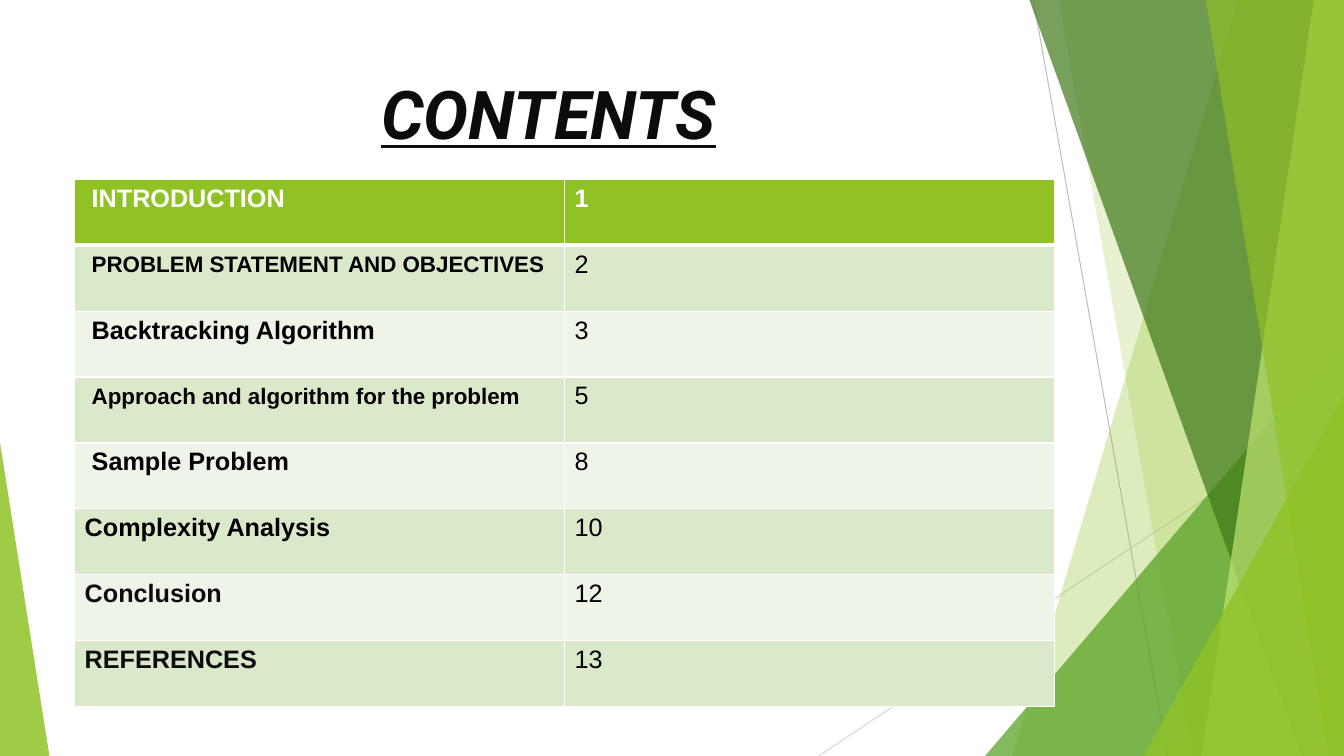
import pptx
import pptx.dml.color
import pptx.enum.shapes
import pptx.enum.text
import pptx.oxml.ns
import pptx.util
from lxml import etree

Inches = pptx.util.Inches
RGBColor = pptx.dml.color.RGBColor
MSO_SHAPE = pptx.enum.shapes.MSO_SHAPE
qn = pptx.oxml.ns.qn

LIME = RGBColor(0x90, 0xC2, 0x26)
GREEN = RGBColor(0x54, 0xA0, 0x21)
DARK_GREEN = RGBColor(0x3F, 0x78, 0x18)
PALE_LIME = RGBColor(0xBF, 0xE4, 0x71)
BAND_DARK = RGBColor(0xDB, 0xE9, 0xCB)
BAND_LIGHT = RGBColor(0xEE, 0xF4, 0xE7)
GREY = RGBColor(0xBF, 0xBF, 0xBF)
LIGHT_GREY = RGBColor(0xD8, 0xD8, 0xD8)
WHITE = RGBColor(0xFF, 0xFF, 0xFF)
BLACK = RGBColor(0x00, 0x00, 0x00)
INK = RGBColor(0x0C, 0x0C, 0x0C)

SLIDE_W, SLIDE_H = 13.33, 7.5

# Topic, page, topic size, topic colour, left inset
CONTENTS = [
    ("INTRODUCTION", "1", 18, WHITE, 0.17),
    ("PROBLEM STATEMENT AND OBJECTIVES", "2", 16, BLACK, 0.17),
    ("Backtracking Algorithm", "3", 18, BLACK, 0.17),
    ("Approach and algorithm for the problem", "5", 16, BLACK, 0.17),
    ("Sample Problem", "8", 18, BLACK, 0.17),
    ("Complexity Analysis", "10", 18, BLACK, 0.1),
    ("Conclusion", "12", 18, INK, 0.1),
    ("REFERENCES", "13", 18, INK, 0.1),
]


def write_text(frame, text, size=18, font="Arial", color=BLACK, bold=False,
               italic=False, underline=False, align=pptx.enum.text.PP_ALIGN.LEFT):
    paragraph = frame.paragraphs[0]
    paragraph.alignment = align
    run = paragraph.add_run()
    run.text = text
    run.font.size = pptx.util.Pt(size)
    run.font.name = font
    run.font.color.rgb = color
    run.font.bold = bold
    run.font.italic = italic
    run.font.underline = underline


def tint(facet, color, opacity):
    facet.shadow.inherit = False
    facet.line.fill.background()
    facet.fill.solid()
    facet.fill.fore_color.rgb = color
    srgb = facet._element.spPr.find(qn("a:solidFill")).find(qn("a:srgbClr"))
    etree.SubElement(srgb, qn("a:alpha")).set("val", str(opacity * 1000))


def add_ray(slide, start, end, color):
    ray = slide.shapes.add_connector(
        pptx.enum.shapes.MSO_CONNECTOR.STRAIGHT, *map(Inches, start + end))
    ray.line.color.rgb = color
    ray.line.width = pptx.util.Pt(0.75)
    etree.SubElement(ray._element.spPr, qn("a:effectLst"))


def add_shard(slide, top_x, bottom_x, right, bottom, color, opacity):
    """Fill the area between a slanted edge and the right side."""
    outline = slide.shapes.build_freeform(Inches(top_x), 0)
    corners = [(right, 0), (right, bottom), (bottom_x, bottom)]
    outline.add_line_segments([(Inches(x), Inches(y)) for x, y in corners])
    tint(outline.convert_to_shape(), color, opacity)


def add_wedge(slide, left, top, right, bottom, apex, color, opacity):
    wedge = slide.shapes.add_shape(
        MSO_SHAPE.ISOSCELES_TRIANGLE, Inches(left), Inches(top),
        Inches(right - left), Inches(bottom - top))
    wedge.adjustments[0] = apex
    tint(wedge, color, opacity)


def add_facets(slide, right, bottom):
    """Green facets along the sides of the slide, from back to front."""
    add_ray(slide, (10.25, 0), (11.58, bottom), GREY)
    add_ray(slide, (right, 4.03), (8.12, bottom), LIGHT_GREY)
    add_shard(slide, 12.28, 10.04, right, bottom, LIME, 30)
    add_shard(slide, 10.5, 11.83, right, bottom, LIME, 20)
    add_wedge(slide, 9.77, 3.33, right, bottom, 1, GREEN, 72)
    add_shard(slide, 10.21, 12.91, right, bottom, DARK_GREEN, 70)
    add_shard(slide, 13.03, 11.92, right, bottom, PALE_LIME, 70)
    add_shard(slide, 11.96, 13.18, right, bottom, LIME, 65)
    add_wedge(slide, 11.34, 3.93, right, bottom, 1, LIME, 80)
    add_wedge(slide, 0, 4.39, 0.49, bottom, 0, LIME, 85)


def add_title(slide, left, top, width, height):
    title = slide.shapes.title
    title.left, title.top = Inches(left), Inches(top)
    title.width, title.height = Inches(width), Inches(height)
    title.text_frame.vertical_anchor = pptx.enum.text.MSO_ANCHOR.TOP
    write_text(title.text_frame, "CONTENTS", size=48, font="Roboto", color=INK,
               bold=True, italic=True, underline=True,
               align=pptx.enum.text.PP_ALIGN.CENTER)
    # Bring the title in front of the facets
    slide.shapes._spTree.append(title._element)


def set_borders(cell, top, bottom):
    properties = cell._tc.get_or_add_tcPr()
    for side, points in (("L", 1), ("R", 1), ("T", top), ("B", bottom)):
        edge = etree.SubElement(properties, qn(f"a:ln{side}"))
        edge.set("w", str(pptx.util.Pt(points)))
        fill = etree.SubElement(edge, qn("a:solidFill"))
        etree.SubElement(fill, qn("a:srgbClr")).set("val", str(WHITE))


def add_contents_table(slide, left, top, width, height):
    contents = slide.shapes.add_table(
        len(CONTENTS), 2, Inches(left), Inches(top),
        Inches(width), Inches(height)).table
    for index, (topic, page, size, color, inset) in enumerate(CONTENTS):
        header = index == 0
        band = LIME if header else BAND_DARK if index % 2 else BAND_LIGHT
        topic_cell, page_cell = contents.cell(index, 0), contents.cell(index, 1)
        for cell in (topic_cell, page_cell):
            set_borders(cell, 3 if index == 1 else 1, 3 if header else 1)
            cell.fill.solid()
            cell.fill.fore_color.rgb = band
        # Smaller topics share the baseline of their page number
        topic_cell.margin_left = Inches(inset)
        topic_cell.margin_top = Inches(0.05 if size == 18 else 0.07)
        write_text(topic_cell.text_frame, topic, size=size, color=color, bold=True)
        write_text(page_cell.text_frame, page, bold=header,
                   color=WHITE if header else BLACK)


def build_contents_slide(deck):
    slide = deck.slides.add_slide(deck.slide_layouts[5])
    add_facets(slide, SLIDE_W, SLIDE_H)
    add_title(slide, 0.74, 0.67, 9.4, 1.44)
    add_contents_table(slide, 0.74, 1.78, 9.72, 5.23)


def main():
    deck = pptx.Presentation()
    deck.slide_width, deck.slide_height = Inches(SLIDE_W), Inches(SLIDE_H)
    build_contents_slide(deck)
    deck.save("out.pptx")


if __name__ == "__main__":
    main()
